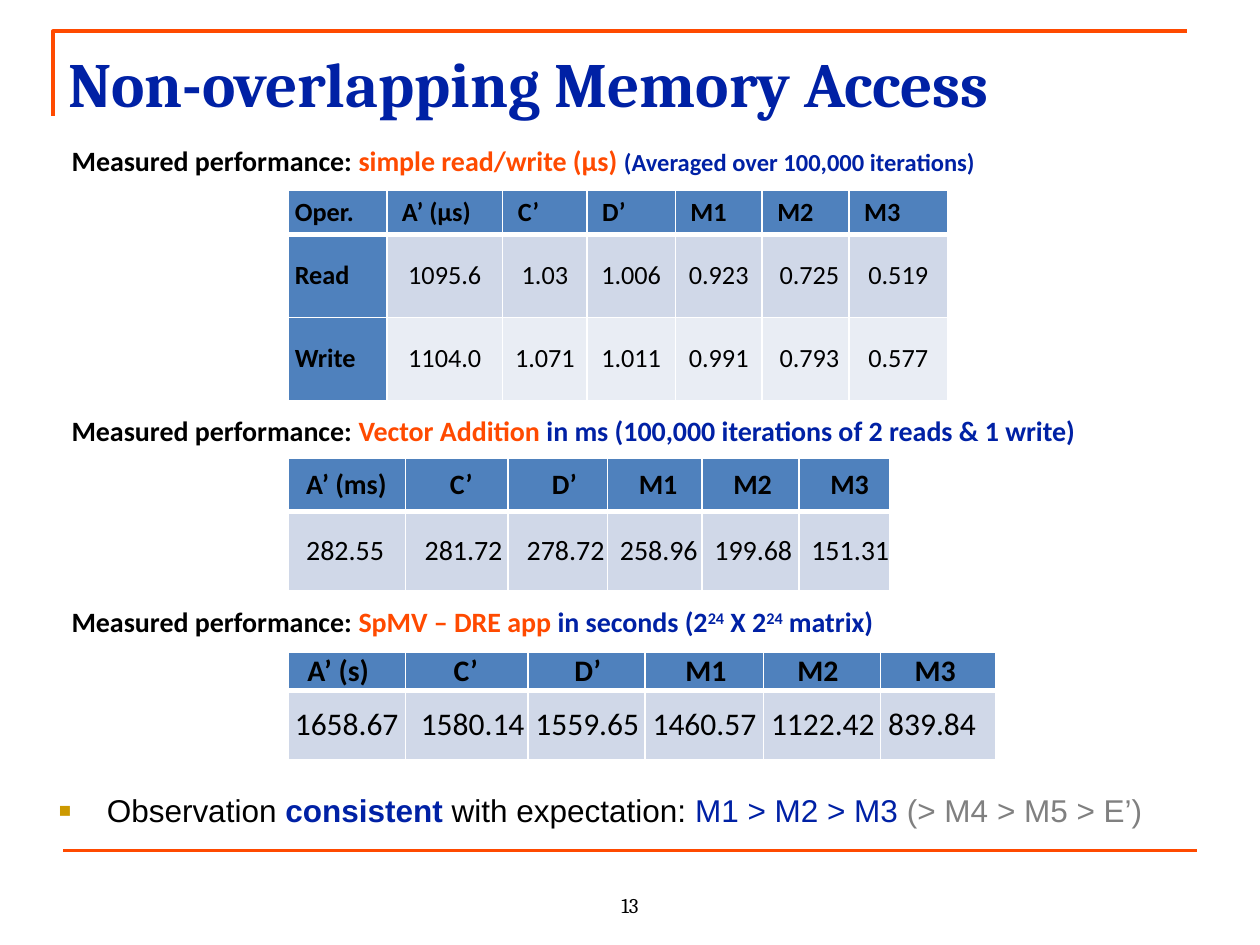
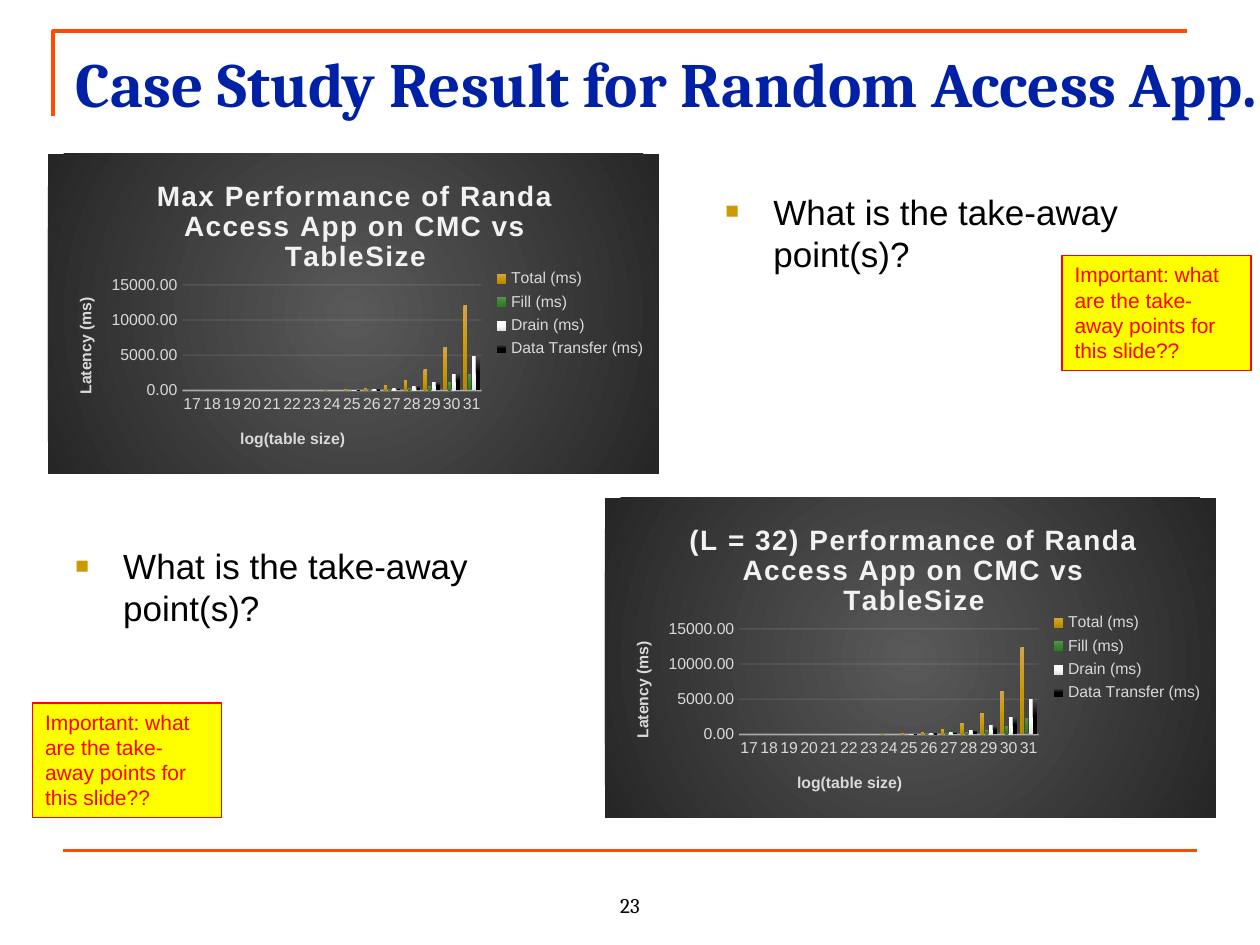
from itertools import product
from lxml.etree import SubElement, fromstring
from pptx import Presentation
from pptx.chart.data import CategoryChartData
from pptx.dml.color import RGBColor
from pptx.enum.chart import XL_CHART_TYPE, XL_LEGEND_POSITION, XL_TICK_MARK
from pptx.enum.shapes import MSO_CONNECTOR, MSO_SHAPE
from pptx.enum.text import MSO_ANCHOR, MSO_AUTO_SIZE, PP_ALIGN
from pptx.oxml import parse_xml
from pptx.oxml.ns import nsdecls, qn
from pptx.util import Emu, Inches, Pt

BLUE, ORANGE, BLACK, WHITE = "0021A5", "FF4A00", "000000", "FFFFFF"
GOLD, GREY, RED, YELLOW = "CC9900", "808080", "FF0000", "FFFF00"
HEAD, BAND, PALE = "4F81BD", "D0D8E8", "E9EDF4"
LIGHT, DIM = "F2F2F2", "D9D9D9"
COLS, ROWS = 100, 75  # grid over the whole slide


def rgb(code):
    return RGBColor.from_string(code)


def grad(stops, way):
    marks = "".join(f'<a:gs pos="{pos * 1000}"><a:srgbClr val="{code}"/></a:gs>'
                    for pos, code in stops)
    return parse_xml(f'<a:gradFill {nsdecls("a")} rotWithShape="1">'
                     f'<a:gsLst>{marks}</a:gsLst>{way}</a:gradFill>')


def fade(line, share):
    """Give a solid line its opacity in percent."""
    tone = line._ln.find(".//" + qn("a:srgbClr"))
    SubElement(tone, qn("a:alpha"), val=str(share * 1000))


def place(node, **spots):
    """Pin a chart part by shares of the chart's size."""
    old = node.find(qn("c:layout"))
    if old is not None:
        node.remove(old)
    marks = "".join(f'<c:{key} val="{val}"/>' for key, val in spots.items())
    new = parse_xml(f'<c:layout {nsdecls("c")}><c:manualLayout>{marks}'
                    '</c:manualLayout></c:layout>')
    text = node.find(qn("c:tx"))
    if text is not None:
        text.addnext(new)
    else:
        node.insert(0, new)


class Deck:
    def __init__(self):
        self.show = Presentation()
        self.show.slide_width, self.show.slide_height = Inches(10), Inches(7.5)
        self.slide = None

    def x(self, cols):
        return Emu(round(self.show.slide_width * cols / COLS))

    def y(self, rows):
        return Emu(round(self.show.slide_height * rows / ROWS))

    def box(self, left, top, wide, high):
        return self.x(left), self.y(top), self.x(wide), self.y(high)

    def font(self, font, size, color=None, face="Arial", bold=False):
        font.size, font.name, font.bold = Pt(size), face, bold
        if color:
            font.color.rgb = rgb(color)

    # Frame shared by all slides
    def page(self, title, number, spot):
        self.slide = self.show.slides.add_slide(self.show.slide_layouts[5])
        pen = self.slide.shapes.build_freeform(self.x(4.2), self.y(9.2), scale=1.0)
        pen.add_line_segments([(self.x(4.2), self.y(2.5)),
                               (self.x(94.2), self.y(2.5))], close=False)
        edge = pen.convert_to_shape()
        edge.shadow.inherit = False
        edge.fill.background()
        rule = self.slide.shapes.add_connector(
            MSO_CONNECTOR.STRAIGHT, self.x(5), self.y(67.5), self.x(95), self.y(67.5))
        SubElement(rule._element.spPr, qn("a:effectLst"))
        for mark in (edge, rule):
            mark.line.color.rgb, mark.line.width = rgb(ORANGE), Pt(2.25)

        head = self.slide.shapes.title
        head.left, head.top, head.width, head.height = self.box(*spot)
        frame = head.text_frame
        frame.text, frame.auto_size = title, MSO_AUTO_SIZE.NONE
        frame.vertical_anchor = MSO_ANCHOR.TOP
        par = frame.paragraphs[0]
        par.alignment = PP_ALIGN.LEFT
        self.font(par.font, 36, BLUE, "Cambria", True)

        par = self.text((40, 68.3, 20, 5), [(number, BLACK)], 12, "Cambria",
                        anchor=MSO_ANCHOR.BOTTOM)
        par.alignment = PP_ALIGN.CENTER

    # Text box; each part is (words, colour, run settings)
    def text(self, spot, parts, size, face="Arial", bold=False, before=0,
             anchor=MSO_ANCHOR.TOP):
        frame = self.slide.shapes.add_textbox(*self.box(*spot)).text_frame
        frame.word_wrap, frame.vertical_anchor = True, anchor
        par = frame.paragraphs[0]
        par.space_before = Pt(before)
        tone = parts[0][1] if len(parts) == 1 else None
        self.font(par.font, size, tone, face, bold)
        for words, color, *more in parts:
            run = par.add_run()
            run.text = words
            if not tone:
                run.font.color.rgb = rgb(color)
            for key, val in (more[0] if more else {}).items():
                if key == "raised":
                    run.font._element.set("baseline", str(val * 1000))
                else:
                    setattr(run.font, key, val)
        return par

    def point(self, spot, parts, size):
        par = self.text(spot, parts, size, before=size * 0.2)
        prop = par._p.get_or_add_pPr()
        prop.set("marL", str(Inches(0.38)))
        prop.set("indent", str(-Inches(0.38)))
        last = prop.find(qn("a:defRPr"))
        for xml in (f'<a:buClr {nsdecls("a")}><a:srgbClr val="{GOLD}"/></a:buClr>',
                    f'<a:buSzPct {nsdecls("a")} val="65000"/>',
                    f'<a:buFont {nsdecls("a")} typeface="Arial"/>',
                    f'<a:buChar {nsdecls("a")} char="■"/>'):
            last.addprevious(parse_xml(xml))

    def label(self, top, wide, *parts):
        self.text((4.7, top, wide, 3.6), [("Measured performance: ", BLACK), *parts],
                  16, "Calibri", True, before=6)

    def note(self, left, top):
        card = self.slide.shapes.add_shape(MSO_SHAPE.RECTANGLE,
                                           *self.box(left, top, 15, 9.1))
        card.shadow.inherit = False
        card.fill.solid()
        card.fill.fore_color.rgb = rgb(YELLOW)
        card.line.color.rgb, card.line.width = rgb(RED), Pt(0.75)
        frame = card.text_frame
        frame.text = "Important: what are the take-away points for this slide??"
        frame.word_wrap, frame.vertical_anchor = True, MSO_ANCHOR.TOP
        par = frame.paragraphs[0]
        par.alignment = PP_ALIGN.LEFT
        self.font(par.font, 12, RED)

    # Table; pads are left insets in columns, one list per row
    def table(self, top, wides, highs, data, pads, sizes, side=False):
        grid = self.slide.shapes.add_table(
            len(highs), len(wides),
            *self.box(22.9, top, sum(wides), sum(highs))).table
        grid.horz_banding = False
        for col, wide in zip(grid.columns, wides):
            col.width = self.x(wide)
        for row, high in zip(grid.rows, highs):
            row.height = self.y(high)
        for r, c in product(range(len(highs)), range(len(wides))):
            cell = grid.cell(r, c)
            bold = r == 0 or side and c == 0
            cell.text, cell.vertical_anchor = data[r][c], MSO_ANCHOR.MIDDLE
            cell.margin_left = self.x(pads[r][c])
            cell.margin_right = cell.margin_top = cell.margin_bottom = 0
            cell.fill.solid()
            cell.fill.fore_color.rgb = rgb(HEAD if bold else (BAND, PALE)[r == 2])
            par = cell.text_frame.paragraphs[0]
            if side and not bold:
                par.alignment = PP_ALIGN.CENTER
            self.font(par.font, sizes[min(r, 1)], BLACK, "Calibri", bold)
            self.edges(cell, r)

    def edges(self, cell, r):
        prop = cell._tc.get_or_add_tcPr()
        thick = {"T": 3 if r == 1 else 1, "B": 3 if r == 0 else 1}
        for spot, name in enumerate("LRTB"):
            prop.insert(spot, parse_xml(
                f'<a:ln{name} {nsdecls("a")} w="{Pt(thick.get(name, 1))}"><a:solidFill>'
                f'<a:srgbClr val="{WHITE}"/></a:solidFill></a:ln{name}>'))

    # Column chart on a dark ground
    def chart(self, left, top, title, title_x, rows):
        data = CategoryChartData()
        data.categories = [str(n) for n in range(17, 32)]
        for name, tail in zip(NAMES, rows):
            data.add_series(name, [0] * (15 - len(tail)) + tail)
        chart = self.slide.shapes.add_chart(XL_CHART_TYPE.COLUMN_CLUSTERED,
                                            *self.box(left, top, 48.5, 25.4), data).chart
        self.font(chart.font, 10, BLACK)
        ground = parse_xml(f'<c:spPr {nsdecls("c", "a")}><a:ln><a:noFill/></a:ln></c:spPr>')
        ground.insert(0, grad([(0, "595959"), (100, "262626")],
                              '<a:path path="circle"><a:fillToRect l="50000" t="50000" '
                              'r="50000" b="50000"/></a:path>'))
        chart._chartSpace.find(qn("c:chart")).addnext(ground)

        plot = chart.plots[0]
        plot.gap_width, plot.overlap, plot.vary_by_categories = 100, -24, False
        for part, tones in zip(plot.series, TONES):
            part._element.get_or_add_spPr().insert(
                0, grad(zip((0, 50, 100), tones), '<a:lin ang="5400000" scaled="0"/>'))

        cat, val = chart.category_axis, chart.value_axis
        val.maximum_scale, val.minimum_scale, val.major_unit = 15000, 0, 5000
        val.tick_labels.number_format = "0.00"
        val.tick_labels.number_format_is_linked = False
        for axis, words in ((cat, "log(table size)"), (val, "Latency (ms)")):
            axis.major_tick_mark = axis.minor_tick_mark = XL_TICK_MARK.NONE
            self.font(axis.tick_labels.font, 9, DIM)
            self.head(axis.axis_title, words, 9, DIM)
        val.format.line.fill.background()
        val.has_major_gridlines = True
        for line, width, share in ((cat.format.line, 1, 54),
                                   (val.major_gridlines.format.line, 0.75, 10)):
            line.color.rgb, line.width = rgb(LIGHT), Pt(width)
            fade(line, share)

        chart.has_title = chart.has_legend = True
        par = self.head(chart.chart_title, title, 16, LIGHT)
        par.font._element.set("spc", "100")
        chart.legend.position = XL_LEGEND_POSITION.RIGHT
        chart.legend.include_in_layout = False
        self.font(chart.legend.font, 9, DIM)

        edge = {"xMode": "edge", "yMode": "edge"}
        place(chart.chart_title._element, **edge, x=title_x, y=0.06)
        place(cat.axis_title._element, **edge, x=0.31, y=0.85)
        place(val.axis_title._element, **edge, x=0.04, y=0.44)
        place(plot._element.getparent(), layoutTarget="inner", **edge,
              x=0.22, y=0.41, w=0.49, h=0.33)

    def head(self, title, words, size, color):
        frame = title.text_frame
        frame.text = words
        par = frame.paragraphs[0]
        self.font(par.font, size, color, bold=True)
        return par


NAMES = ["Total (ms)", "Fill (ms)", "Drain (ms)", "Data Transfer (ms)"]
TONES = [("D3A44B", GOLD, "B58800"), ("5B9055", "38852B", "2F7A22"),
         (WHITE, WHITE, "E3E3E3"), ("4B4B4B", BLACK, BLACK)]
MODES = ["C’", "D’", "M1", "M2", "M3"]
MOVED = [100, 200, 300, 600, 1200, 2500, 4900]


def main():
    deck = Deck()

    # Slide 1: measured tables
    deck.page("Non-overlapping Memory Access", "13", (4.4, 3, 97.2, 8.7))
    deck.point((3.7, 62.3, 96.3, 6.7),
               [("Observation ", BLACK), ("consistent", BLUE, {"bold": True}),
                (" with expectation: ", BLACK), ("M1 > M2 > M3 ", BLUE),
                ("(> M4 > M5 > E’)", GREY)], 18)
    shift = [0.5, 0, 0, 0, 0, 0.6, 0]
    deck.table(15.1, [7.8, 9.2, 6.7, 7, 6.9, 6.9, 7.8], [3.5, 6.6, 6.6],
               [["Oper.", "A’ (µs)", *MODES],
                ["Read", "1095.6", "1.03", "1.006", "0.923", "0.725", "0.519"],
                ["Write", "1104.0", "1.071", "1.011", "0.991", "0.793", "0.577"]],
               [[0.5] + [1.2] * 6, shift, shift], (15, 15), side=True)
    deck.table(36.4, [9.3, 8.1, 7.9, 7.5, 7.7, 7.2], [4.2, 6.3],
               [["A’ (ms)", *MODES],
                ["282.55", "281.72", "278.72", "258.96", "199.68", "151.31"]],
               [[1.4, 3.5, 3.5, 2.5, 2.5, 2.5], [1.4, 1.5, 1.5, 1, 1, 1]], (16, 16))
    deck.table(51.8, [9.3, 9.7, 9.3, 9.4, 9.3, 9.1], [3, 5.5],
               [["A’ (s)", *MODES],
                ["1658.67", "1580.14", "1559.65", "1460.57", "1122.42", "839.84"]],
               [[1.5, 3.8, 3.7, 3.2, 2.7, 2.7], [0.5, 1.2] + [0.6] * 4], (17, 18))
    deck.label(32.3, 85.6, ("Vector Addition ", ORANGE),
               ("in ms (100,000 iterations of 2 reads & 1 write)", BLUE))
    power = ("24", BLUE, {"raised": 30})
    deck.label(47.5, 71.3, ("SpMV – DRE app ", ORANGE), ("in seconds (2", BLUE), power,
               (" X 2", BLUE), power, (" matrix)", BLUE))
    deck.label(10.9, 80.8, ("simple read/write (µs) ", ORANGE),
               ("(Averaged over 100,000 iterations)", BLUE, {"size": Pt(14)}))

    # Slide 2: charts and open questions
    deck.page("Case Study Result for Random Access App.", "23", (5, 3, 105.6, 10.3))
    title = "Performance of Randa Access App on CMC vs TableSize"
    deck.chart(3.8, 12.2, f"Max {title}", 0.17,
               [[100, 200, 400, 800, 1500, 3000, 6100, 12100],
                [100, 100, 300, 600, 1200, 2300],
                [100, 200, 300, 600, 1200, 2400, 4900], MOVED])
    deck.chart(48, 39.5, f"(L = 32) {title}", 0.13,
               [[100, 200, 400, 800, 1600, 3100, 6200, 12400],
                [100, 200, 300, 600, 1200, 2400],
                [100, 200, 300, 600, 1300, 2500, 5000], MOVED])
    for left, top in ((56.6, 14.6), (5, 42.7)):
        deck.point((left, top, 38.4, 22.2),
                   [("What is the take-away point(s)?", BLACK)], 20)
    for left, top in ((84.3, 20.3), (2.6, 55.8)):
        deck.note(left, top)

    deck.show.save("out.pptx")


if __name__ == "__main__":
    main()
